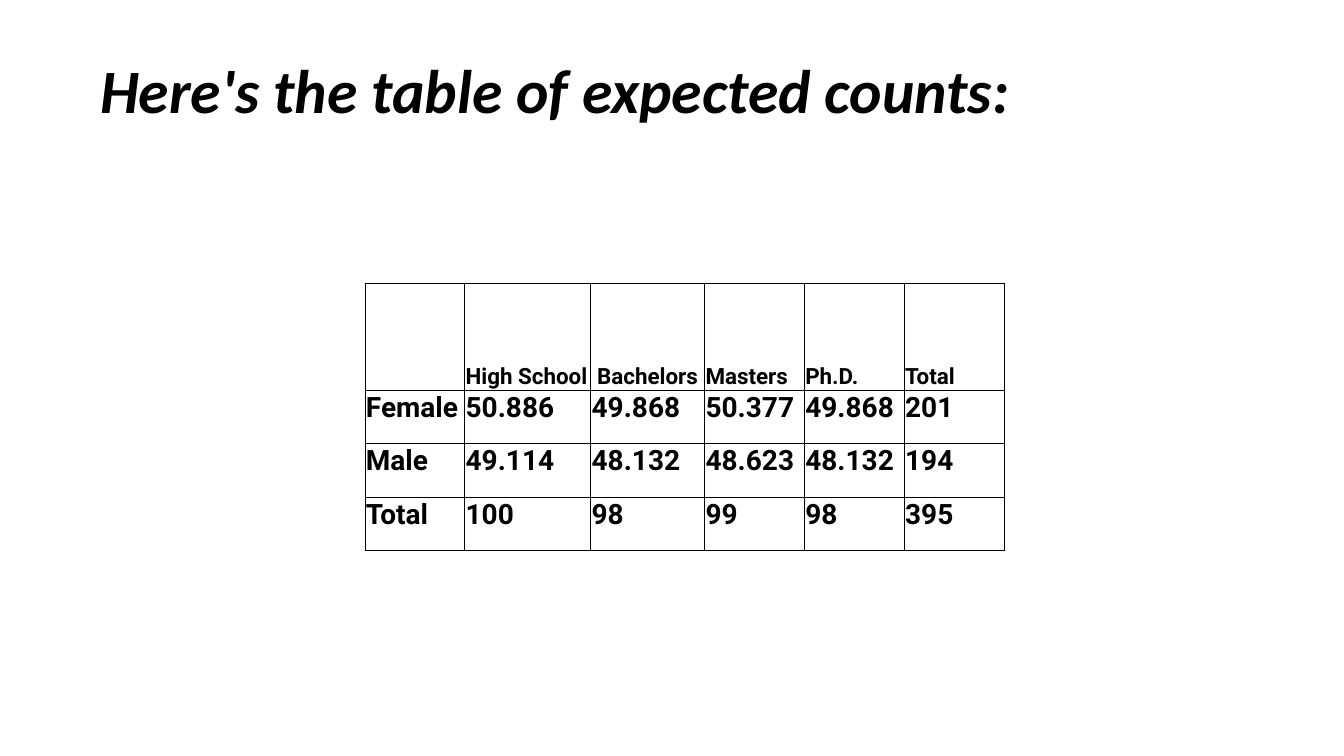
from dataclasses import dataclass

from lxml.etree import SubElement
from pptx import Presentation
from pptx.dml.color import RGBColor
from pptx.enum.text import MSO_ANCHOR, MSO_AUTO_SIZE, PP_ALIGN
from pptx.oxml.ns import qn
from pptx.slide import Slide
from pptx.table import _Cell
from pptx.util import Inches, Pt

HUES = {"ink": "000000", "page": "FFFFFF"}
WIDE, HIGH = Inches(13.333), Inches(7.5)
INK = RGBColor.from_string(HUES["ink"])


@dataclass(frozen=True)
class Box:
    left: float
    top: float
    width: float
    height: float

    def place(self) -> dict:
        return {
            "left": int(self.left * WIDE),
            "top": int(self.top * HIGH),
            "width": int(self.width * WIDE),
            "height": int(self.height * HIGH),
        }


@dataclass(frozen=True)
class Row:
    height: float
    size: int
    anchor: MSO_ANCHOR
    words: tuple


HEAD = Box(0.067, 0.04, 0.867, 0.167)
GRID = Box(0.2715, 0.375, 0.475, 0.355)
COLS = (0.99, 1.25, 1.13, 0.99, 0.99, 0.99)
ROWS = (
    Row(1.06, 16, MSO_ANCHOR.BOTTOM,
        ("", "High School", " Bachelors", "Masters", "Ph.D.", "Total")),
    Row(0.53, 20, MSO_ANCHOR.TOP,
        ("Female", "50.886", "49.868", "50.377", "49.868", "201")),
    Row(0.53, 20, MSO_ANCHOR.TOP,
        ("Male", "49.114", "48.132", "48.623", "48.132", "194")),
    Row(0.53, 20, MSO_ANCHOR.TOP,
        ("Total", "100", "98", "99", "98", "395")),
)
INSET = {
    "margin_left": Inches(0.01),
    "margin_right": Inches(0.01),
    "margin_top": Inches(0.01),
    "margin_bottom": 0,
}


def apply(item: object, form: dict) -> None:
    for key, value in form.items():
        setattr(item, key, value)


def style(font: object, form: dict) -> None:
    apply(font, form)
    font.color.rgb = INK


def draw_title(slide: Slide, words: str) -> None:
    title = slide.shapes.title
    apply(title, HEAD.place())
    frame = title.text_frame
    frame.text = words
    apply(frame, {
        "word_wrap": True,
        "auto_size": MSO_AUTO_SIZE.NONE,
        "vertical_anchor": MSO_ANCHOR.MIDDLE,
    })
    line = frame.paragraphs[0]
    apply(line, {"alignment": PP_ALIGN.LEFT, "line_spacing": 0.9})
    style(line.runs[0].font, {
        "name": "Calibri", "size": Pt(44), "bold": True, "italic": True,
    })


def draw_edges(cell: _Cell) -> None:
    props = cell._tc.get_or_add_tcPr()
    for side in ("a:lnL", "a:lnR", "a:lnT", "a:lnB"):
        edge = SubElement(props, qn(side), w=str(Pt(0.5)))
        fill = SubElement(edge, qn("a:solidFill"))
        SubElement(fill, qn("a:srgbClr"), val=HUES["ink"])


def draw_cell(cell: _Cell, words: str, row: Row) -> None:
    draw_edges(cell)
    cell.fill.background()
    apply(cell, INSET | {"vertical_anchor": row.anchor})
    line = cell.text_frame.paragraphs[0]
    line.alignment = PP_ALIGN.JUSTIFY
    form = {"name": "Roboto", "size": Pt(row.size), "bold": True}
    if words:
        run = line.add_run()
        run.text = words
        style(run.font, form)


def draw_table(slide: Slide) -> None:
    frame = slide.shapes.add_table(len(ROWS), len(COLS), **GRID.place())
    table = frame.table
    apply(table, {"first_row": False, "horz_banding": False})
    for col, width in zip(table.columns, COLS):
        col.width = Inches(width)
    for band, row in zip(table.rows, ROWS):
        band.height = Inches(row.height)
        for cell, words in zip(band.cells, row.words):
            draw_cell(cell, words, row)


def main() -> None:
    deck = Presentation()
    apply(deck, {"slide_width": WIDE, "slide_height": HIGH})
    slide = deck.slides.add_slide(deck.slide_layouts.get_by_name("Title Only"))
    page = slide.background.fill
    page.solid()
    page.fore_color.rgb = RGBColor.from_string(HUES["page"])
    draw_title(slide, "Here's the table of expected counts:")
    draw_table(slide)
    deck.save("out.pptx")


if __name__ == "__main__":
    main()
